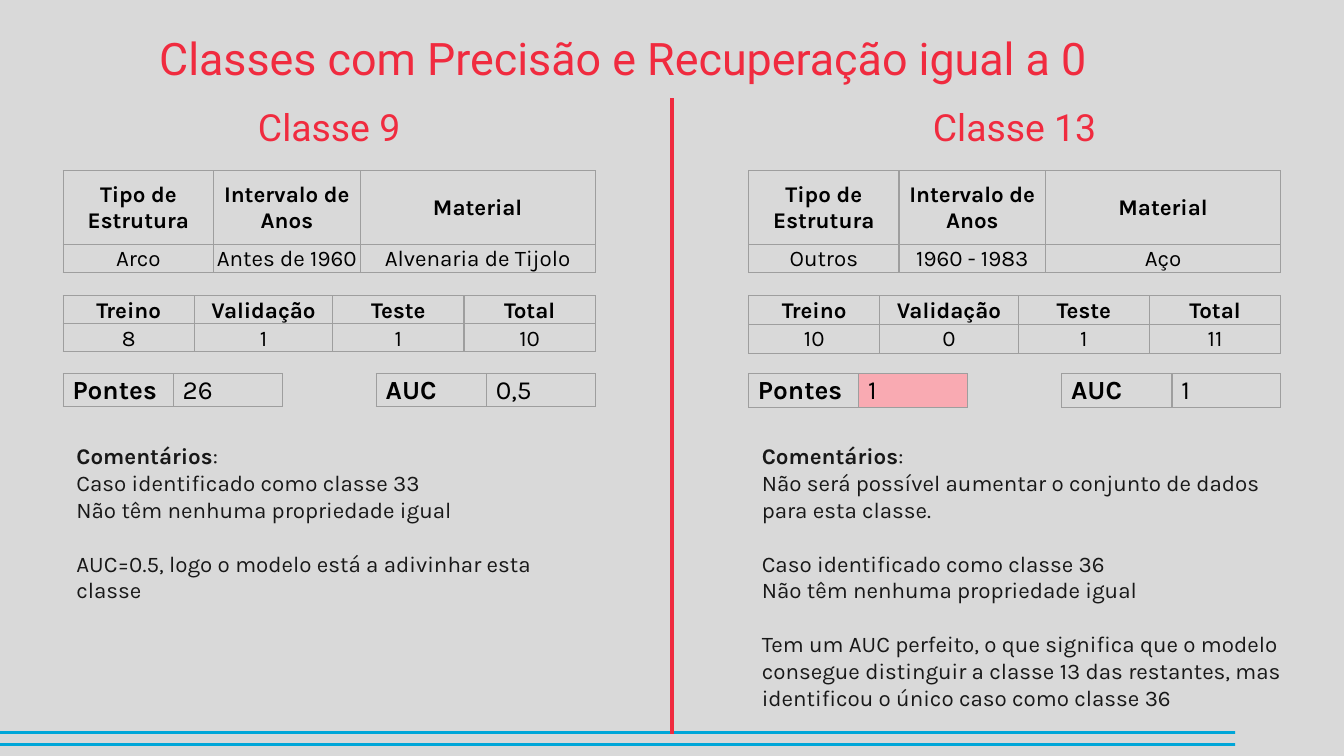
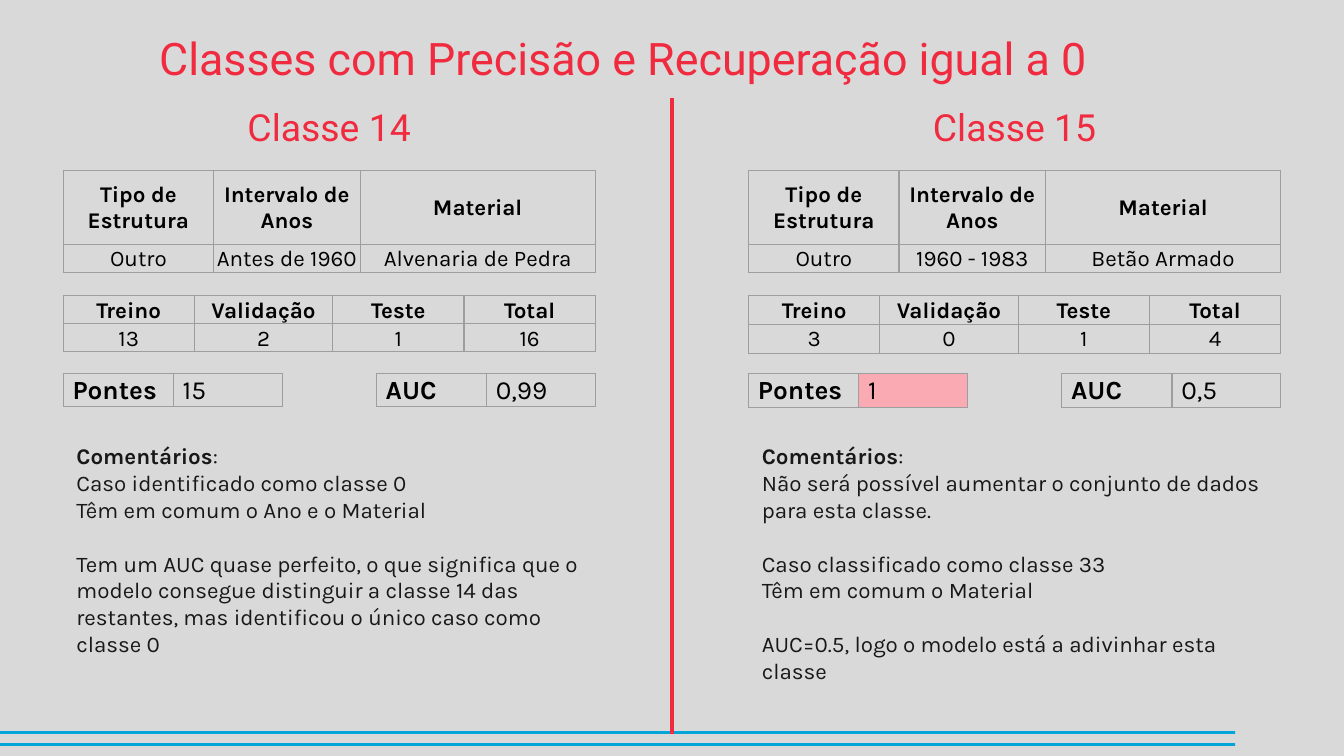
from lxml import etree
from pptx import Presentation
from pptx.dml.color import RGBColor
from pptx.enum.shapes import MSO_CONNECTOR, MSO_SHAPE
from pptx.enum.text import MSO_ANCHOR, MSO_AUTO_SIZE, PP_ALIGN
from pptx.oxml.ns import qn
from pptx.util import Inches, Pt

CENTER, LEFT, JUSTIFY = PP_ALIGN.CENTER, PP_ALIGN.LEFT, PP_ALIGN.JUSTIFY
MIDDLE, TOP = MSO_ANCHOR.MIDDLE, MSO_ANCHOR.TOP
NO_AUTOFIT = MSO_AUTO_SIZE.NONE
STRAIGHT, RECTANGLE = MSO_CONNECTOR.STRAIGHT, MSO_SHAPE.RECTANGLE

COLORS = {
    "background": "D9D9D9",
    "red": "F02B3F",
    "blue": "00A6D8",
    "border": "9E9E9E",
    "alert": "F9AAB2",
    "black": "000000",
    "comment": "181818",
}
HEADING_FONT, BODY_FONT = "Roboto", "Karla"
TITLE = "Classes com Precisão e Recuperação igual a 0"
PROPERTY_HEADERS = ["Tipo de Estrutura", "Intervalo de Anos", "Material"]
SPLIT_HEADERS = ["Treino", "Validação", "Teste", "Total"]
PANEL_LEFTS = [0.47, 5.57]
PANEL_WIDTH = 3.96
VALIDATION_WIDTH = 1.03
SPLIT_WIDTH = (PANEL_WIDTH - VALIDATION_WIDTH) / 3

SLIDES = [
    [
        {
            "name": "Classe 9",
            "properties": ["Arco", "Antes de 1960", "Alvenaria de Tijolo"],
            "split": ["8", "1", "1", "10"],
            "bridges": "26",
            "auc": "0,5",
            "width": PANEL_WIDTH,
            "comments": [
                ["Caso identificado como classe 33", "Não têm nenhuma propriedade igual"],
                ["AUC=0.5, logo o modelo está a adivinhar esta classe"],
            ],
        },
        {
            "name": "Classe 13",
            "properties": ["Outros", "1960 - 1983", "Aço"],
            "split": ["10", "0", "1", "11"],
            "bridges": "1",
            "auc": "1",
            "width": 4.16,
            "comments": [
                ["Não será possível aumentar o conjunto de dados para esta classe."],
                ["Caso identificado como classe 36", "Não têm nenhuma propriedade igual"],
                ["Tem um AUC perfeito, o que significa que o modelo consegue distinguir "
                 "a classe 13 das restantes, mas identificou o único caso como classe 36"],
            ],
        },
    ],
    [
        {
            "name": "Classe 14",
            "properties": ["Outro", "Antes de 1960", "Alvenaria de Pedra"],
            "split": ["13", "2", "1", "16"],
            "bridges": "15",
            "auc": "0,99",
            "width": PANEL_WIDTH,
            "comments": [
                ["Caso identificado como classe 0", "Têm em comum o Ano e o Material"],
                ["Tem um AUC quase perfeito, o que significa que o modelo consegue distinguir "
                 "a classe 14 das restantes, mas identificou o único caso como classe 0"],
            ],
        },
        {
            "name": "Classe 15",
            "properties": ["Outro", "1960 - 1983", "Betão Armado"],
            "split": ["3", "0", "1", "4"],
            "bridges": "1",
            "auc": "0,5",
            "width": PANEL_WIDTH,
            "comments": [
                ["Não será possível aumentar o conjunto de dados para esta classe."],
                ["Caso classificado como classe 33", "Têm em comum o Material"],
                ["AUC=0.5, logo o modelo está a adivinhar esta classe"],
            ],
        },
    ],
]


def add_span(para, text, size, color, font=BODY_FONT, bold=False, align=LEFT):
    para.alignment = align
    span = para.add_run()
    span.text = text
    span.font.size = Pt(size)
    span.font.name = font
    span.font.bold = bold
    span.font.color.rgb = RGBColor.from_string(COLORS[color])


def add_grid(page, left, top, widths, heights, rows, size, margins, align, anchor, spaced):
    frame = page.shapes.add_table(
        len(rows), len(widths), Inches(left), Inches(top), Inches(sum(widths)), Inches(sum(heights))
    )
    grid = frame.table
    grid.first_row = grid.horz_banding = False
    for column, width in zip(grid.columns, widths):
        column.width = Inches(width)
    for row, height in zip(grid.rows, heights):
        row.height = Inches(height)
    for row_index, texts in enumerate(rows):
        for column_index, text in enumerate(texts):
            cell = grid.cell(row_index, column_index)
            cell.vertical_anchor = anchor
            cell.margin_left, cell.margin_top, cell.margin_right, cell.margin_bottom = map(Inches, margins)
            cell.fill.background()
            para = cell.text_frame.paragraphs[0]
            if spaced:
                para.line_spacing = 1.07
                para.space_after = Pt(8)
            header = column_index == 0 if len(rows) == 1 else row_index == 0
            add_span(para, text, size, "black", bold=header, align=align)
            properties = cell._tc.get_or_add_tcPr()
            for position, side in enumerate(["a:lnL", "a:lnR", "a:lnT", "a:lnB"]):
                border = etree.Element(qn(side), w=str(Pt(0.75)))
                fill = etree.SubElement(border, qn("a:solidFill"))
                etree.SubElement(fill, qn("a:srgbClr"), val=COLORS["border"])
                properties.insert(position, border)
    return grid


deck = Presentation()
deck.slide_width = Inches(10)
deck.slide_height = deck.slide_width * 9 // 16

for panels in SLIDES:
    page = deck.slides.add_slide(deck.slide_layouts[5])
    page.background.fill.solid()
    page.background.fill.fore_color.rgb = RGBColor.from_string(COLORS["background"])

    title = page.shapes.title
    title.left, title.top, title.width, title.height = map(Inches, (0.42, 0.16, 8.43, 0.53))
    headings = [(title, TITLE, 24)]

    for band_top in (5.44, 5.53):
        band = page.shapes.add_shape(RECTANGLE, Inches(-0.03), Inches(band_top), Inches(9.22), Inches(0.02))
        band.shadow.inherit = False
        band.fill.solid()
        band.fill.fore_color.rgb = RGBColor.from_string(COLORS["blue"])
        band.line.fill.background()

    divider = page.shapes.add_connector(STRAIGHT, Inches(5), Inches(0.73), Inches(5), Inches(5.46))
    divider.line.color.rgb = RGBColor.from_string(COLORS["red"])
    divider.line.width = Pt(2.25)
    etree.SubElement(divider._element.spPr, qn("a:effectLst"))

    for left, panel in zip(PANEL_LEFTS, panels):
        name_box = page.shapes.add_textbox(Inches(left - 0.2), Inches(0.75), Inches(4.36), Inches(0.39))
        headings.append((name_box, panel["name"], 20))

        add_grid(page, left, 1.27, [1.12, 1.09, 1.75], [0.55, 0.2],
                 [PROPERTY_HEADERS, panel["properties"]], 12, (0.01, 0.01, 0.01, 0), CENTER, MIDDLE, False)
        add_grid(page, left, 2.2, [SPLIT_WIDTH, VALIDATION_WIDTH, SPLIT_WIDTH, SPLIT_WIDTH], [0.2, 0.2],
                 [SPLIT_HEADERS, panel["split"]], 12, (0.07, 0, 0.07, 0), CENTER, TOP, True)
        for offset, label, value in ((0, "Pontes", panel["bridges"]), (2.33, "AUC", panel["auc"])):
            grid = add_grid(page, left + offset, 2.78, [0.82, 0.81], [0.24],
                            [[label, value]], 14, (0.07, 0, 0.07, 0), JUSTIFY, TOP, True)
            if label == "Pontes" and value == "1":
                alert = grid.cell(0, 1).fill
                alert.solid()
                alert.fore_color.rgb = RGBColor.from_string(COLORS["alert"])

        box = page.shapes.add_textbox(Inches(left), Inches(3.19), Inches(panel["width"]), Inches(1.97))
        frame = box.text_frame
        frame.word_wrap = True
        frame.margin_left = frame.margin_top = frame.margin_right = frame.margin_bottom = Inches(0.1)
        add_span(frame.paragraphs[0], "Comentários", 12, "comment", bold=True)
        add_span(frame.paragraphs[0], ":", 12, "comment")
        for block_index, block in enumerate(panel["comments"]):
            for line_index, line in enumerate(block):
                para = frame.add_paragraph()
                if block_index > 0 and line_index == 0:
                    para.space_before = Pt(14.4)
                add_span(para, line, 12, "comment")

    for shape, text, size in headings:
        frame = shape.text_frame
        frame.word_wrap = True
        frame.auto_size = NO_AUTOFIT
        frame.vertical_anchor = MIDDLE
        frame.margin_left = frame.margin_top = frame.margin_right = frame.margin_bottom = Inches(0.1)
        add_span(frame.paragraphs[0], text, size, "red", font=HEADING_FONT, align=CENTER)

deck.save("out.pptx")
